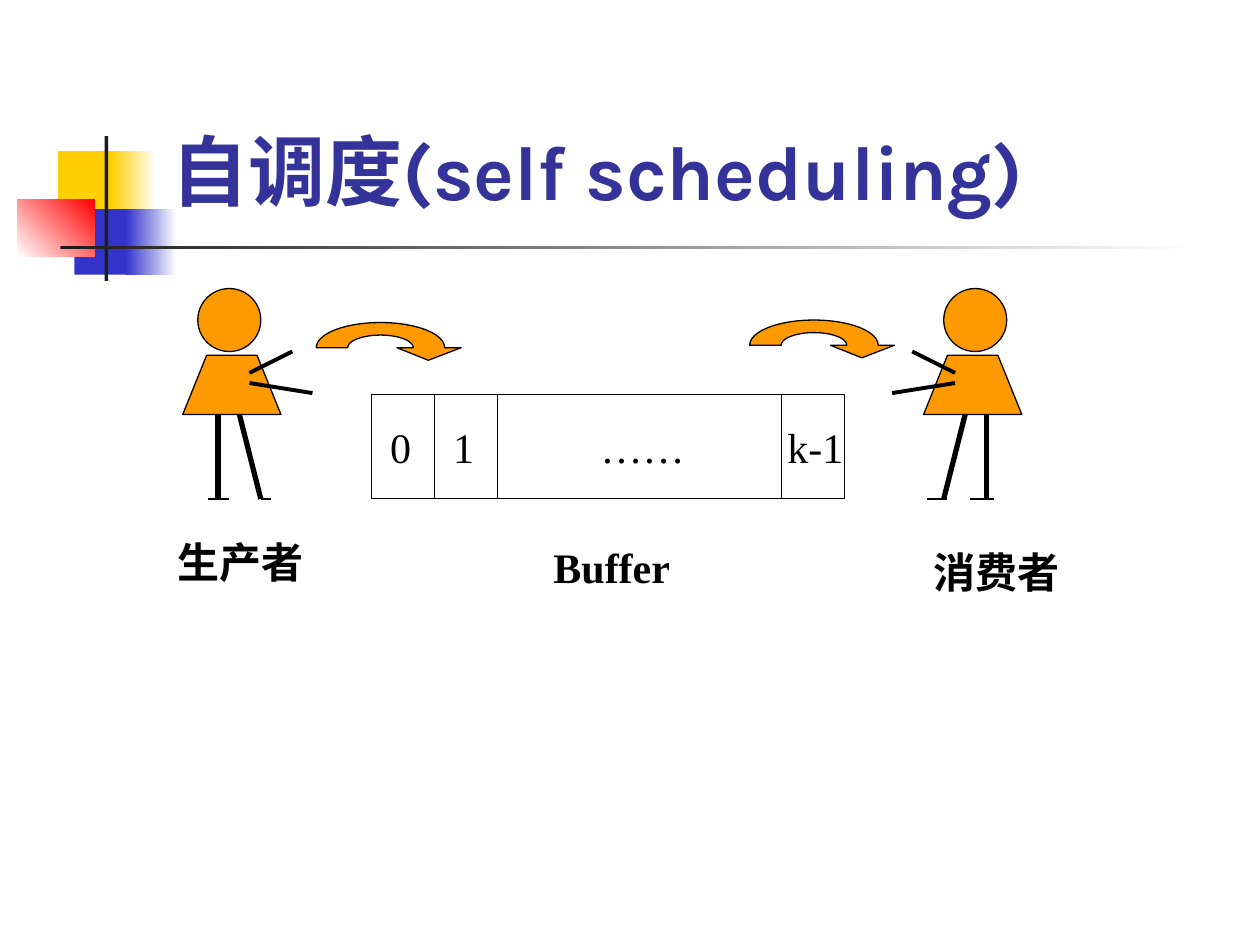
import math

import lxml.etree
import pptx
import pptx.dml.color
import pptx.enum.shapes
import pptx.enum.text
import pptx.oxml.ns
import pptx.util

Inches = pptx.util.Inches
Pt = pptx.util.Pt
Shape = pptx.enum.shapes.MSO_SHAPE
Anchor = pptx.enum.text.MSO_ANCHOR
Align = pptx.enum.text.PP_ALIGN
qn = pptx.oxml.ns.qn


def color(value):
    return pptx.dml.color.RGBColor.from_string(value)


class Board:
    """Holds the drawing style and the slide that receives each element."""

    ink, skin, navy = "000000", "FF9900", "333399"
    body = {"name": "Times New Roman", "size": Pt(24), "bold": False}
    label = {**body, "bold": True}
    heading = {"name": "Karla", "size": Pt(44), "bold": True}

    def __init__(self, slide):
        self.slide = slide
        self.shapes = slide.shapes

    def paint(self, shape, fill=None, line=None):
        shape.shadow.inherit = False
        if fill:
            shape.fill.solid()
            shape.fill.fore_color.rgb = color(fill)
        else:
            shape.fill.background()
        if line:
            shape.line.color.rgb = color(line)
            shape.line.width = Pt(0.75)
        else:
            shape.line.fill.background()
        return shape

    def preset(self, kind, box, fill=None, line=None):
        return self.paint(self.shapes.add_shape(kind, *map(Inches, box)), fill, line)

    def gradient(self, box, start, end, angle=0):
        band = self.preset(Shape.RECTANGLE, box)
        band.fill.gradient()
        band.fill.gradient_angle = angle
        for stop, value in zip(band.fill.gradient_stops, (start, end)):
            stop.color.rgb = color(value)

    def outline(self, points):
        corners = [(Inches(x), Inches(y)) for x, y in points]
        builder = self.shapes.build_freeform(*corners[0], scale=1.0)
        builder.add_line_segments(corners[1:], close=True)
        self.paint(builder.convert_to_shape(), self.skin, self.ink)

    def line(self, start, end, width=0.75):
        stroke = self.shapes.add_connector(
            pptx.enum.shapes.MSO_CONNECTOR.STRAIGHT, *map(Inches, (*start, *end)))
        stroke.line.color.rgb = color(self.ink)
        stroke.line.width = Pt(width)
        lxml.etree.SubElement(stroke._element.spPr, qn("a:effectLst"))

    def fill_text(self, frame, text, style, ink, align, anchor, tabs=()):
        frame.word_wrap = True
        frame.vertical_anchor = anchor
        paragraph = frame.paragraphs[0]
        paragraph.alignment = align
        if tabs:
            stops = lxml.etree.SubElement(paragraph._p.get_or_add_pPr(), qn("a:tabLst"))
            for position in tabs:
                lxml.etree.SubElement(
                    stops, qn("a:tab"), pos=str(Inches(position)), algn="ctr")
        run = paragraph.add_run()
        run.text = text
        for name, value in style.items():
            setattr(run.font, name, value)
        run.font.color.rgb = color(ink)

    def text(self, box, text, style, ink, align=Align.CENTER, anchor=Anchor.TOP):
        frame = self.shapes.add_textbox(*map(Inches, box)).text_frame
        self.fill_text(frame, text, style, ink, align, anchor)

    def buffer(self, left, top, width, height, dividers, text, tabs):
        store = self.preset(
            Shape.RECTANGLE, (left, top, width, height), line=self.ink)
        frame = store.text_frame
        frame.margin_left = frame.margin_right = 0
        self.fill_text(frame, text, self.body, self.ink, Align.LEFT, Anchor.MIDDLE, tabs)
        for offset in dividers:
            self.line((left + offset, top), (left + offset, top + height))

    def person(self, place, feet):
        head = place(1.82)
        self.preset(Shape.OVAL, (head - 0.25, 2.29, 0.5, 0.5), self.skin, self.ink)
        dress = [(1.45, 3.29), (1.64, 2.82), (2.04, 2.82), (2.23, 3.29)]
        self.outline([(place(x), y) for x, y in dress])
        limbs = [
            ((1.73, 3.29), (1.73, 3.96), 3),
            ((1.9, 3.29), (2.07, 3.96), 3),
            ((1.98, 3.04), (2.48, 3.12), 2.25),
            ((1.98, 2.96), (2.32, 2.79), 2.25),
        ]
        for (x1, y1), (x2, y2), width in limbs:
            self.line((place(x1), y1), (place(x2), y2), width)
        for heel, toe in feet:
            self.line((heel, 3.96), (toe, 3.96))

    def curved_arrow(self, x, y):
        turns = [math.pi * step / 24 for step in range(25)]
        inner = [(x + 0.26 * math.cos(t), y - 0.1 * math.sin(t)) for t in turns]
        outer = [(x - 0.51 * math.cos(t), y - 0.2 * math.sin(t)) for t in turns]
        tip = [(x + 0.64, y), (x + 0.38, y + 0.1), (x + 0.13, y)]
        self.outline(inner + outer + tip)


def main():
    deck = pptx.Presentation()
    deck.slide_width, deck.slide_height = Inches(10), Inches(7.5)
    board = Board(deck.slides.add_slide(deck.slide_layouts[6]))

    yellow, blue, red, dark, white = "FFCF01", "3333CC", "FF0000", "1C1C1C", "FFFFFF"
    board.preset(Shape.RECTANGLE, (0.46, 1.2, 0.48, 0.52), yellow)
    board.gradient((0.88, 1.2, 0.36, 0.52), yellow, white)
    board.preset(Shape.RECTANGLE, (0.59, 1.66, 0.46, 0.52), blue)
    board.gradient((1, 1.66, 0.4, 0.52), blue, white)
    board.gradient((0.14, 1.58, 0.61, 0.46), white, red, 45)
    board.preset(Shape.RECTANGLE, (0.83, 1.08, 0.03, 1.15), dark)
    board.gradient((0.48, 1.95, 9, 0.03), dark, white)
    board.text((1.26, 0.68, 8.52, 1.08), "自调度(self scheduling)",
               board.heading, board.navy, Align.LEFT, Anchor.BOTTOM)

    board.buffer(2.95, 3.13, 3.75, 0.83, (0.5, 1, 3.25),
                 "\t0\t1\t……\tk-1", (0.23, 0.73, 2.15, 3.52))
    board.person(lambda x: x, [(1.65, 1.82), (2.07, 2.15)])
    board.person(lambda x: 9.56 - x, [(7.7, 7.89), (7.52, 7.36)])
    board.curved_arrow(3.02, 2.76)
    board.curved_arrow(6.46, 2.74)

    for left, top, caption in [
        (1.28, 4.21, "生产者"), (4.23, 4.25, "Buffer"), (7.28, 4.29, "消费者"),
    ]:
        board.text((left, top, 1.25, 0.5), caption, board.label, board.ink)

    deck.save("out.pptx")


if __name__ == "__main__":
    main()
